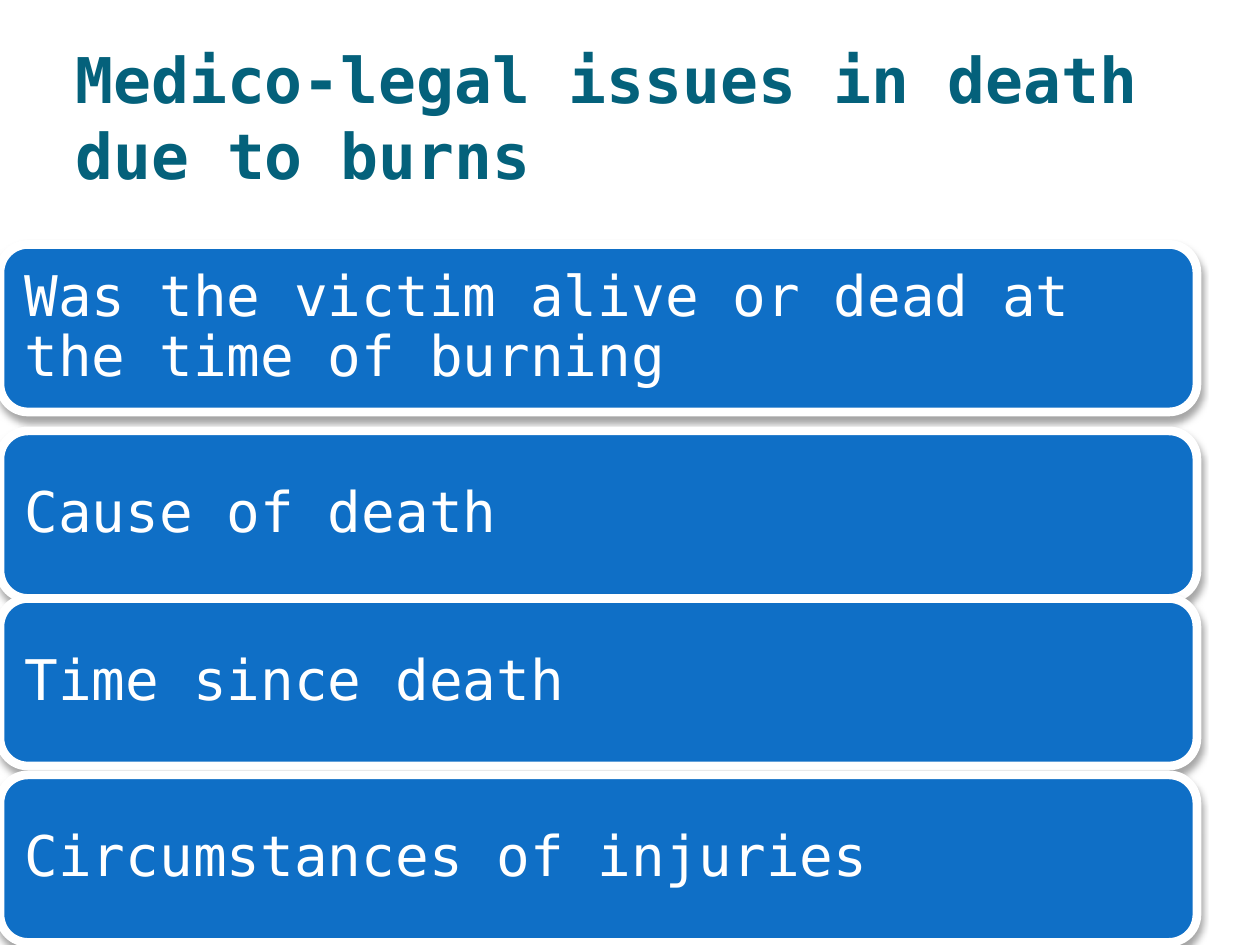
from lxml import etree
from pptx import Presentation
from pptx.dml.color import RGBColor
from pptx.enum.shapes import MSO_SHAPE as Shape
from pptx.enum.text import MSO_ANCHOR as Anchor, PP_ALIGN as Align
from pptx.oxml.ns import qn
from pptx.util import Inches, Pt

FONT = "DejaVu Sans Mono"
ISSUES = [
    (1.94, "Was the victim alive or dead at the time of burning"),
    (3.42, "Cause of death"),
    (4.75, "Time since death"),
    (6.15, "Circumstances of injuries"),
]


def rgb(code):
    return RGBColor.from_string(code)


def write(frame, text, size, color, bold=False):
    frame.word_wrap = True
    frame.vertical_anchor = Anchor.MIDDLE
    para = frame.paragraphs[0]
    para.alignment = Align.LEFT
    run = para.add_run()
    run.text = text
    run.font.name = FONT
    run.font.size = Pt(size)
    run.font.bold = bold
    run.font.color.rgb = rgb(color)
    return para


def shade(shape):
    shape.shadow.inherit = False
    effects = shape._element.spPr.find(qn("a:effectLst"))
    outer = etree.SubElement(
        effects, qn("a:outerShdw"), blurRad=str(Pt(4)), dist=str(Pt(3)),
        dir="5400000", rotWithShape="0")
    tint = etree.SubElement(outer, qn("a:srgbClr"), val="000000")
    etree.SubElement(tint, qn("a:alpha"), val="35000")


def add_title(slide, left, top, width, height):
    box = slide.shapes.add_textbox(left, top, width, height)
    write(box.text_frame, "Medico-legal issues in death due to burns",
          36, "04617B", True)


def add_issue(slide, text, left, top, width, height):
    card = slide.shapes.add_shape(
        Shape.ROUNDED_RECTANGLE, left, top, width, height)
    card.fill.solid()
    card.fill.fore_color.rgb = rgb("0F6FC6")
    card.line.color.rgb = rgb("FFFFFF")
    card.line.width = Pt(5)
    shade(card)
    frame = card.text_frame
    frame.margin_left = frame.margin_right = Inches(0.13)
    frame.margin_top = frame.margin_bottom = Inches(0.13)
    write(frame, text, 32, "FFFFFF").line_spacing = 0.9


def main():
    deck = Presentation()
    deck.slide_width = Inches(10)
    deck.slide_height = Inches(7.5)
    slide = deck.slides.add_slide(deck.slide_layouts[6])
    for top, text in ISSUES:
        add_issue(slide, text, Inches(0), Inches(top),
                  Inches(9.5), Inches(1.33))
    add_title(slide, Inches(0.5), Inches(0.3), Inches(9), Inches(1.25))
    deck.save("out.pptx")


if __name__ == "__main__":
    main()
